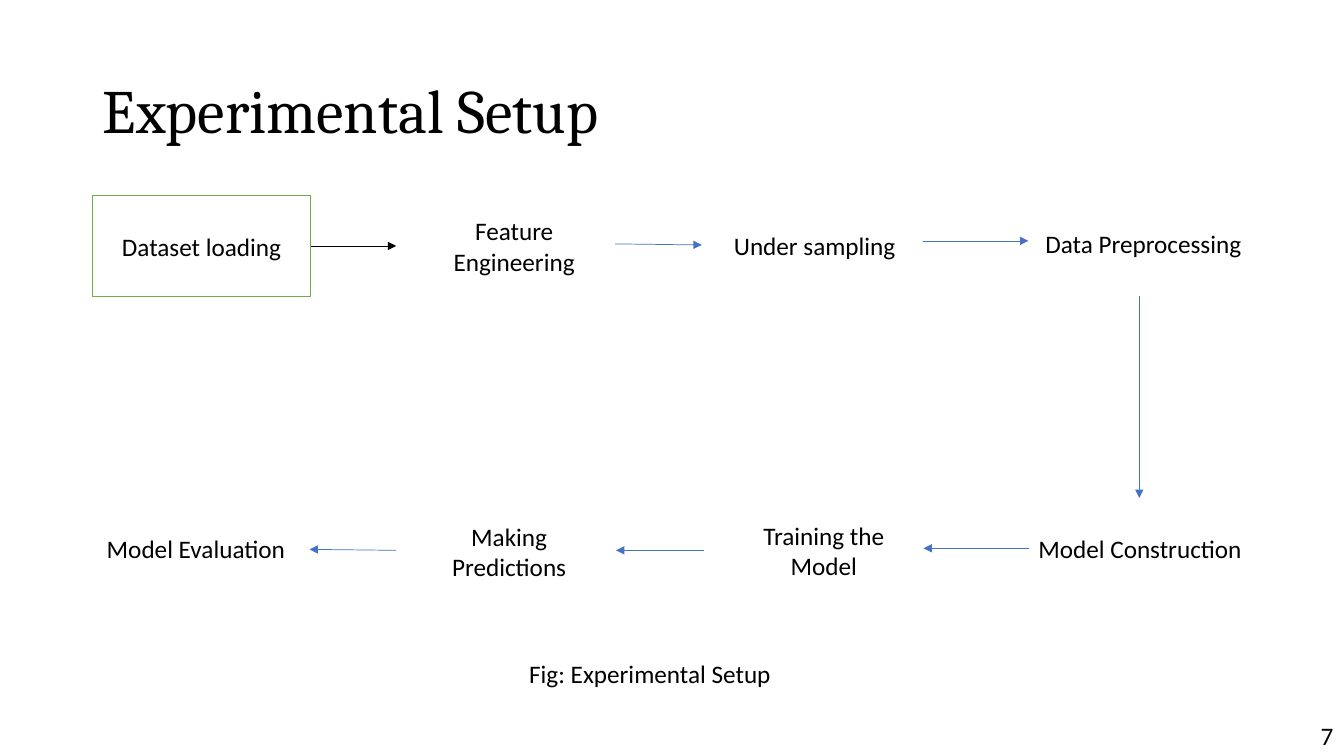
from dataclasses import dataclass

from lxml.etree import SubElement
from pptx import Presentation
from pptx.dml.color import RGBColor
from pptx.enum.shapes import MSO_CONNECTOR, MSO_SHAPE
from pptx.enum.text import MSO_ANCHOR, PP_ALIGN
from pptx.oxml.ns import qn
from pptx.shapes.autoshape import Shape
from pptx.shapes.connector import Connector
from pptx.slide import Slide
from pptx.text.text import TextFrame
from pptx.util import Inches, Pt

BLACK = RGBColor(0x00, 0x00, 0x00)
WHITE = RGBColor(0xFF, 0xFF, 0xFF)
GREEN = RGBColor(0x70, 0xAD, 0x47)
BLUE = RGBColor(0x44, 0x72, 0xC4)


@dataclass
class Label:
    text: str
    left: float
    top: float
    width: float
    height: float = 0.4
    align: PP_ALIGN = PP_ALIGN.LEFT
    wrap: bool = False


@dataclass
class Arrow:
    x1: float
    y1: float
    x2: float
    y2: float
    color: RGBColor = BLUE


LABELS = [
    # Upper row, left to right
    Label("Feature\nEngineering", 4.36, 2.09, 1.48, 0.71, PP_ALIGN.CENTER),
    Label("Under sampling", 7.18, 2.24, 1.88),
    Label("Data Preprocessing", 10.27, 2.22, 2.22),
    # Lower row, right to left
    Label("Model Construction", 10.2, 5.24, 2.3),
    Label("Training the Model", 7.18, 5.11, 1.98, 0.71, PP_ALIGN.CENTER, True),
    Label("Making Predictions", 4.06, 5.12, 1.98, 0.71, PP_ALIGN.CENTER, True),
    Label("Model Evaluation", 0.96, 5.24, 1.98, wrap=True),
    # Caption and page number
    Label("Fig: Experimental Setup", 5.15, 6.48, 2.62),
    Label("7", 13, 7.1, 0.33),
]

LOADING_ARROW = Arrow(3.08, 2.44, 3.93, 2.44, BLACK)
ARROWS = [
    Arrow(6.1, 2.42, 6.96, 2.43),
    Arrow(9.15, 2.39, 10.2, 2.39),
    Arrow(11.3, 2.94, 11.3, 4.94),
    Arrow(10.21, 5.44, 9.16, 5.44),
    Arrow(6.98, 5.46, 6.11, 5.46),
    Arrow(3.93, 5.46, 3.07, 5.45),
]


def write(tf: TextFrame, text: str, align: PP_ALIGN, size: int = 18,
          font: str = "Calibri") -> None:
    tf.text = text
    for p in tf.paragraphs:
        p.alignment = align
        p.font.name = font
        p.font.size = Pt(size)
        p.font.color.rgb = BLACK


def add_label(slide: Slide, label: Label) -> None:
    box = slide.shapes.add_textbox(Inches(label.left), Inches(label.top),
                                   Inches(label.width), Inches(label.height))
    box.text_frame.word_wrap = label.wrap
    write(box.text_frame, label.text, label.align)


def add_arrow(slide: Slide, arrow: Arrow) -> Connector:
    line = slide.shapes.add_connector(
        MSO_CONNECTOR.STRAIGHT, Inches(arrow.x1), Inches(arrow.y1),
        Inches(arrow.x2), Inches(arrow.y2))
    line.line.color.rgb = arrow.color
    line.line.width = Pt(0.5)
    SubElement(line.line._get_or_add_ln(), qn("a:tailEnd"), type="triangle")
    SubElement(line._element.spPr, qn("a:effectLst"))
    return line


def add_loading_box(slide: Slide) -> Shape:
    sp = slide.shapes.add_shape(MSO_SHAPE.RECTANGLE, Inches(0.92),
                                Inches(1.94), Inches(2.16), Inches(1))
    sp.shadow.inherit = False
    sp.fill.solid()
    sp.fill.fore_color.rgb = WHITE
    sp.line.color.rgb = GREEN
    sp.line.width = Pt(1)
    sp.text_frame.vertical_anchor = MSO_ANCHOR.MIDDLE
    write(sp.text_frame, "Dataset loading", PP_ALIGN.CENTER)
    return sp


def add_title(slide: Slide) -> None:
    title = slide.shapes.title
    title.left, title.top = Inches(0.92), Inches(0.4)
    title.width, title.height = Inches(11.5), Inches(1.45)
    tf = title.text_frame
    tf.vertical_anchor = MSO_ANCHOR.MIDDLE
    write(tf, "Experimental Setup", PP_ALIGN.LEFT, 44, "Cambria")
    tf.paragraphs[0].line_spacing = 0.9


def main() -> None:
    prs = Presentation()
    prs.slide_width, prs.slide_height = Inches(13.33), Inches(7.5)
    slide = prs.slides.add_slide(prs.slide_layouts[5])
    add_title(slide)

    # Flow of steps
    loading = add_loading_box(slide)
    add_arrow(slide, LOADING_ARROW).begin_connect(loading, 3)
    for arrow in ARROWS:
        add_arrow(slide, arrow)
    for label in LABELS:
        add_label(slide, label)

    prs.save("out.pptx")


if __name__ == "__main__":
    main()
